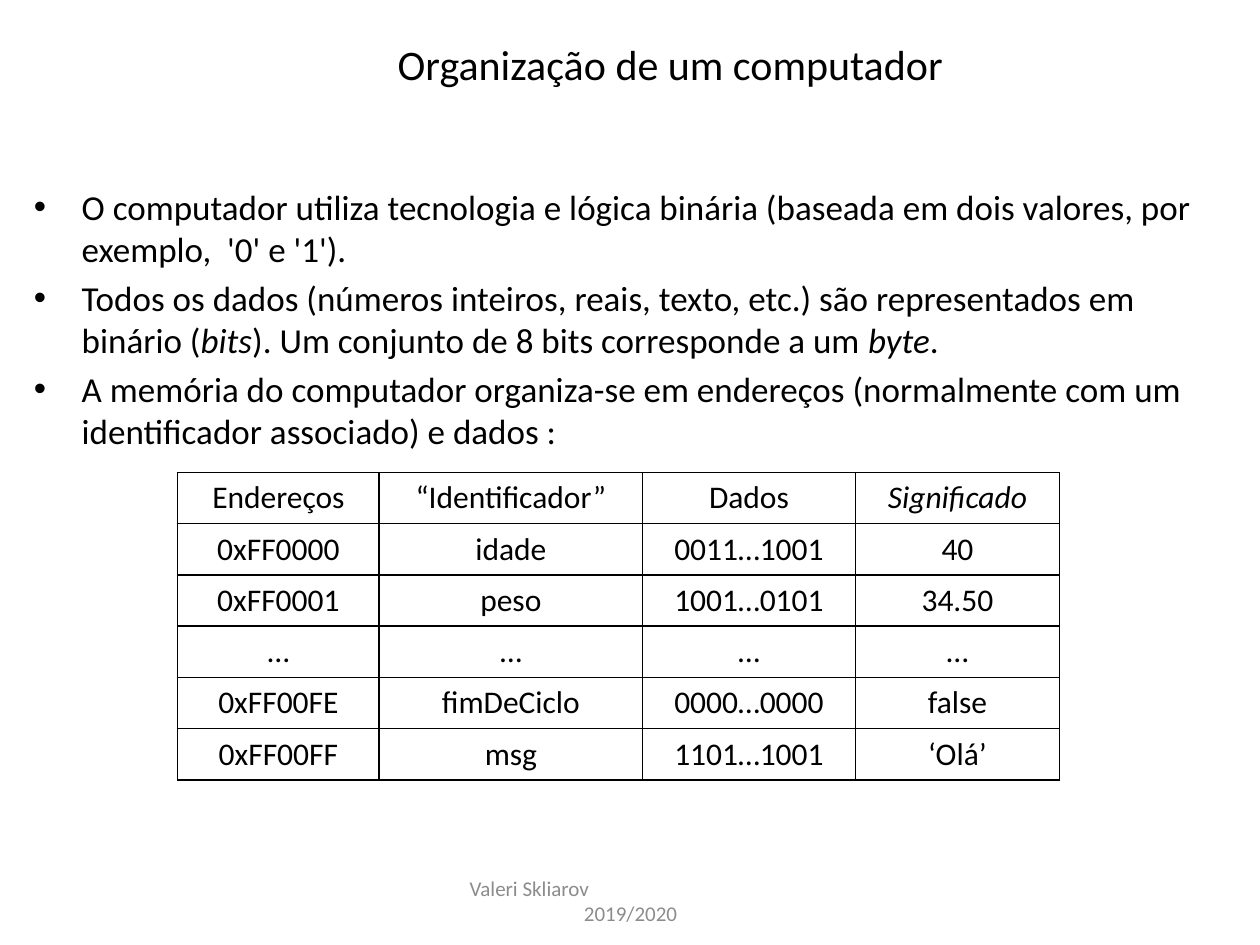
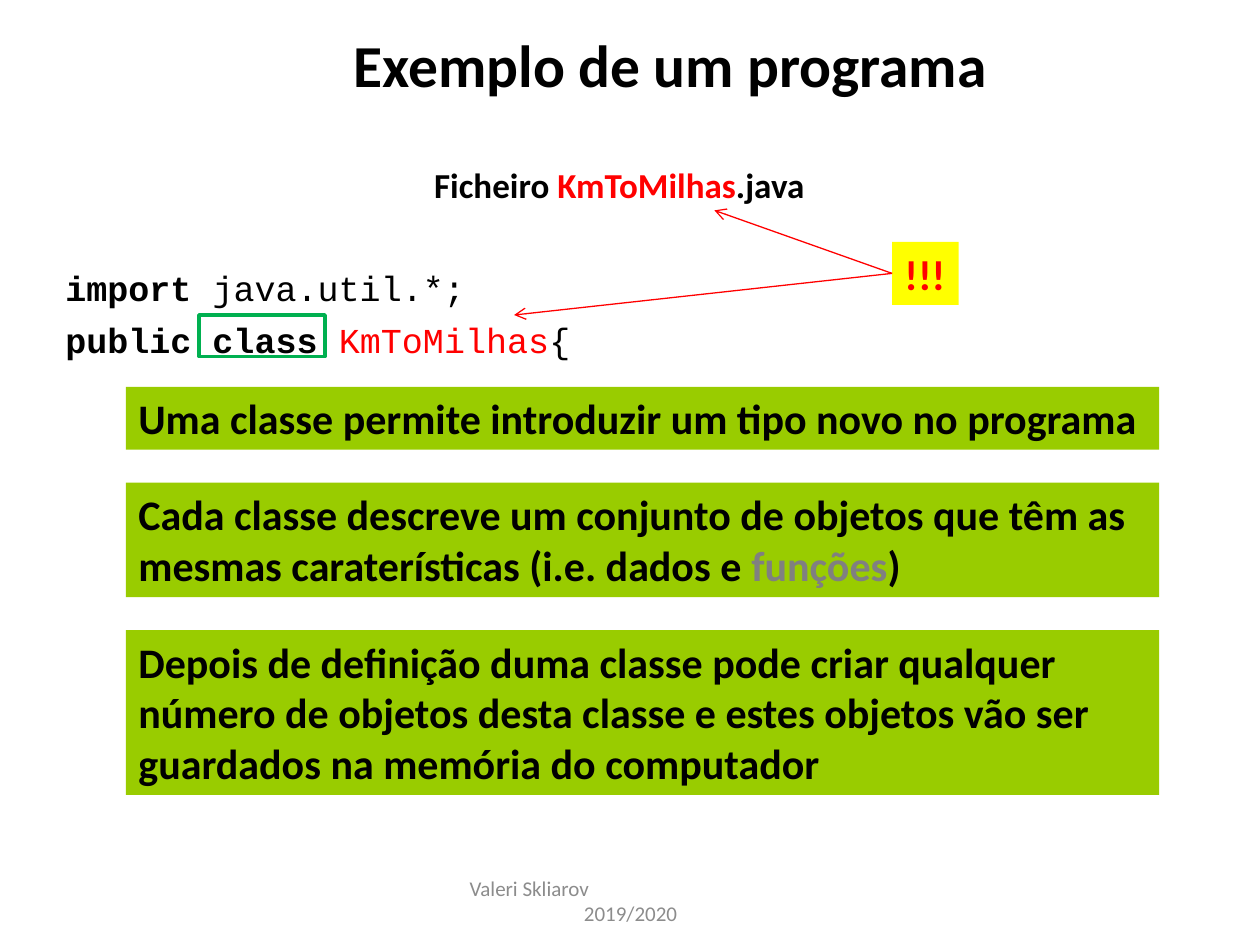
from lxml.etree import SubElement
from pptx import Presentation
from pptx.dml.color import RGBColor
from pptx.enum.shapes import MSO_CONNECTOR, MSO_SHAPE
from pptx.enum.text import MSO_ANCHOR, PP_ALIGN
from pptx.oxml.ns import qn
from pptx.util import Inches, Pt

BODY_FONT = "Calibri"
CODE_FONT = "Courier New"
BLACK = "000000"
WHITE = "FFFFFF"
RED = "FF0000"
YELLOW = "FFFF00"
GREEN = "00B050"
LIME = "99CC00"
GRAY = "808080"
FOOTER_GRAY = "8C8C8C"


def color(value):
    return RGBColor.from_string(value)


def set_indent(paragraph, left, first_line=0):
    properties = paragraph._p.get_or_add_pPr()
    properties.set("marL", str(Inches(left)))
    properties.set("indent", str(Inches(first_line)))
    return properties


def add_bullet(paragraph):
    properties = set_indent(paragraph, 0.38, -0.38)
    SubElement(properties, qn("a:buFont"), typeface="Arial")
    SubElement(properties, qn("a:buChar"), char="•")


def write(paragraph, text, size=20, font=BODY_FONT, ink=BLACK, bold=False, italic=False):
    run = paragraph.add_run()
    run.text = text
    run.font.size = Pt(size)
    run.font.name = font
    run.font.color.rgb = color(ink)
    run.font.bold = bold
    run.font.italic = italic


def write_paragraph(frame, parts, align=PP_ALIGN.LEFT, before=0, **text_format):
    first = frame.paragraphs[0]
    paragraph = frame.add_paragraph() if first.runs else first
    paragraph.alignment = align
    paragraph.space_before = Pt(before)
    for text, changes in parts:
        write(paragraph, text, **{**text_format, **changes})
    return paragraph


def add_text_box(slide, left, top, width, height, anchor=MSO_ANCHOR.TOP):
    box = slide.shapes.add_textbox(Inches(left), Inches(top), Inches(width), Inches(height))
    frame = box.text_frame
    frame.word_wrap = True
    frame.vertical_anchor = anchor
    return frame


def add_rectangle(slide, left, top, width, height, fill=None, line=None):
    shape = slide.shapes.add_shape(
        MSO_SHAPE.RECTANGLE, Inches(left), Inches(top), Inches(width), Inches(height))
    shape.shadow.inherit = False
    if fill:
        shape.fill.solid()
        shape.fill.fore_color.rgb = color(fill)
    else:
        shape.fill.background()
    if line:
        shape.line.color.rgb = color(line)
        shape.line.width = Pt(2)
    else:
        shape.line.fill.background()
    return shape


def add_note(slide, left, top, width, height, fill, parts, wrap=True, ink=BLACK):
    frame = add_rectangle(slide, left, top, width, height, fill).text_frame
    frame.word_wrap = wrap
    frame.vertical_anchor = MSO_ANCHOR.TOP
    write_paragraph(frame, parts, size=24, bold=True, ink=ink)


def add_arrow(slide, start, end):
    arrow = slide.shapes.add_connector(
        MSO_CONNECTOR.STRAIGHT, *(Inches(value) for value in start + end))
    arrow.line.color.rgb = color(RED)
    arrow.line.width = Pt(0.75)
    SubElement(arrow.line._get_or_add_ln(), qn("a:tailEnd"), type="arrow")
    SubElement(arrow._element.spPr, qn("a:effectLst"))


def add_border(cell):
    properties = cell._tc.get_or_add_tcPr()
    for side in ("lnL", "lnR", "lnT", "lnB"):
        line = SubElement(properties, qn(f"a:{side}"), w=str(Pt(1)))
        fill = SubElement(line, qn("a:solidFill"))
        SubElement(fill, qn("a:srgbClr"), val=BLACK)


def add_memory_table(slide, left, top, widths, row_height, rows):
    table = slide.shapes.add_table(
        len(rows), len(widths), Inches(left), Inches(top),
        Inches(sum(widths)), Inches(row_height * len(rows))).table
    table.horz_banding = False
    for column, width in zip(table.columns, widths):
        column.width = Inches(width)
    for row, values in zip(table.rows, rows):
        row.height = Inches(row_height)
        for cell, value in zip(row.cells, values):
            add_border(cell)
            cell.fill.solid()
            cell.fill.fore_color.rgb = color(WHITE)
            write_paragraph(cell.text_frame, [(value, {"italic": value == "Significado"})],
                            align=PP_ALIGN.CENTER, size=18)


def add_slide(presentation, title, **title_format):
    slide = presentation.slides.add_slide(presentation.slide_layouts[6])
    footer = add_text_box(slide, 3.42, 6.95, 3.17, 0.4, MSO_ANCHOR.MIDDLE)
    author = write_paragraph(footer, [("Valeri Skliarov", {})], size=12, ink=FOOTER_GRAY)
    set_indent(author, 0.21)
    write_paragraph(footer, [("2019/2020", {})], align=PP_ALIGN.CENTER,
                    size=12, ink=FOOTER_GRAY)
    heading = add_text_box(slide, 1.48, 0.23, 7.68, 0.55, MSO_ANCHOR.MIDDLE)
    write_paragraph(heading, [(title, {})], align=PP_ALIGN.CENTER, **title_format)
    return slide


def build_computer_slide(presentation):
    slide = add_slide(presentation, "Organização de um computador", size=24)
    italic = {"italic": True}
    bullets = [
        [("O computador utiliza tecnologia e lógica binária (baseada em dois valores, "
          "por exemplo,  '0' e '1').", {})],
        [("Todos os dados (números inteiros, reais, texto, etc.) são representados em "
          "binário (", {}), ("bits", italic),
         ("). Um conjunto de 8 bits corresponde a um ", {}), ("byte", italic), (".", {})],
        [("A memória do computador organiza-se em endereços (normalmente com um "
          "identificador associado) e dados :", {})],
    ]
    frame = add_text_box(slide, 0.17, 1.42, 9.58, 4.95)
    for index, parts in enumerate(bullets):
        add_bullet(write_paragraph(frame, parts, before=4 if index else 0))
    add_memory_table(slide, 1.41, 3.75, [1.6, 2.09, 1.69, 1.62], 0.407, [
        ["Endereços", "“Identificador”", "Dados", "Significado"],
        ["0xFF0000", "idade", "0011…1001", "40"],
        ["0xFF0001", "peso", "1001…0101", "34.50"],
        ["…"] * 4,
        ["0xFF00FE", "fimDeCiclo", "0000…0000", "false"],
        ["0xFF00FF", "msg", "1101…1001", "‘Olá’"],
    ])


def build_program_slide(presentation):
    slide = add_slide(presentation, "Exemplo de um programa", size=34, bold=True)
    bold, red = {"bold": True}, {"ink": RED}
    frame = add_text_box(slide, 0.42, 1.25, 8.99, 5.7)
    write_paragraph(frame, [("Ficheiro ", {}), ("KmToMilhas", red), (".java", {})],
                    align=PP_ALIGN.CENTER, bold=True)
    write_paragraph(frame, [("import", bold), (" java.util.*;", {})],
                    before=35, font=CODE_FONT)
    write_paragraph(frame, [("public class ", bold), ("KmToMilhas", red), ("{", {})],
                    before=5.5, font=CODE_FONT)

    add_note(slide, 7.08, 1.92, 0.53, 0.5, YELLOW, [("!!!", {})], wrap=False, ink=RED)
    for target in ((5.67, 1.67), (4.08, 2.5)):
        add_arrow(slide, (7.08, 2.17), target)
    add_rectangle(slide, 1.58, 2.5, 1, 0.33, line=GREEN)

    notes = [
        (3.07, 0.5, [("Uma classe permite introduzir um tipo novo no programa", {})]),
        (3.83, 0.91, [("Cada classe descreve um conjunto de objetos que têm as mesmas "
                       "caraterísticas (i.e. dados e ", {}),
                      ("funções", {"ink": GRAY}), (")", {})]),
        (5, 1.31, [("Depois de definição duma classe pode criar qualquer número de objetos "
                    "desta classe e estes objetos vão ser guardados na memória do "
                    "computador", {})]),
    ]
    for top, height, parts in notes:
        add_note(slide, 1, top, 8.2, height, LIME, parts)


def main():
    presentation = Presentation()
    presentation.slide_width = Inches(10)
    presentation.slide_height = Inches(7.5)
    build_computer_slide(presentation)
    build_program_slide(presentation)
    presentation.save("out.pptx")


if __name__ == "__main__":
    main()
